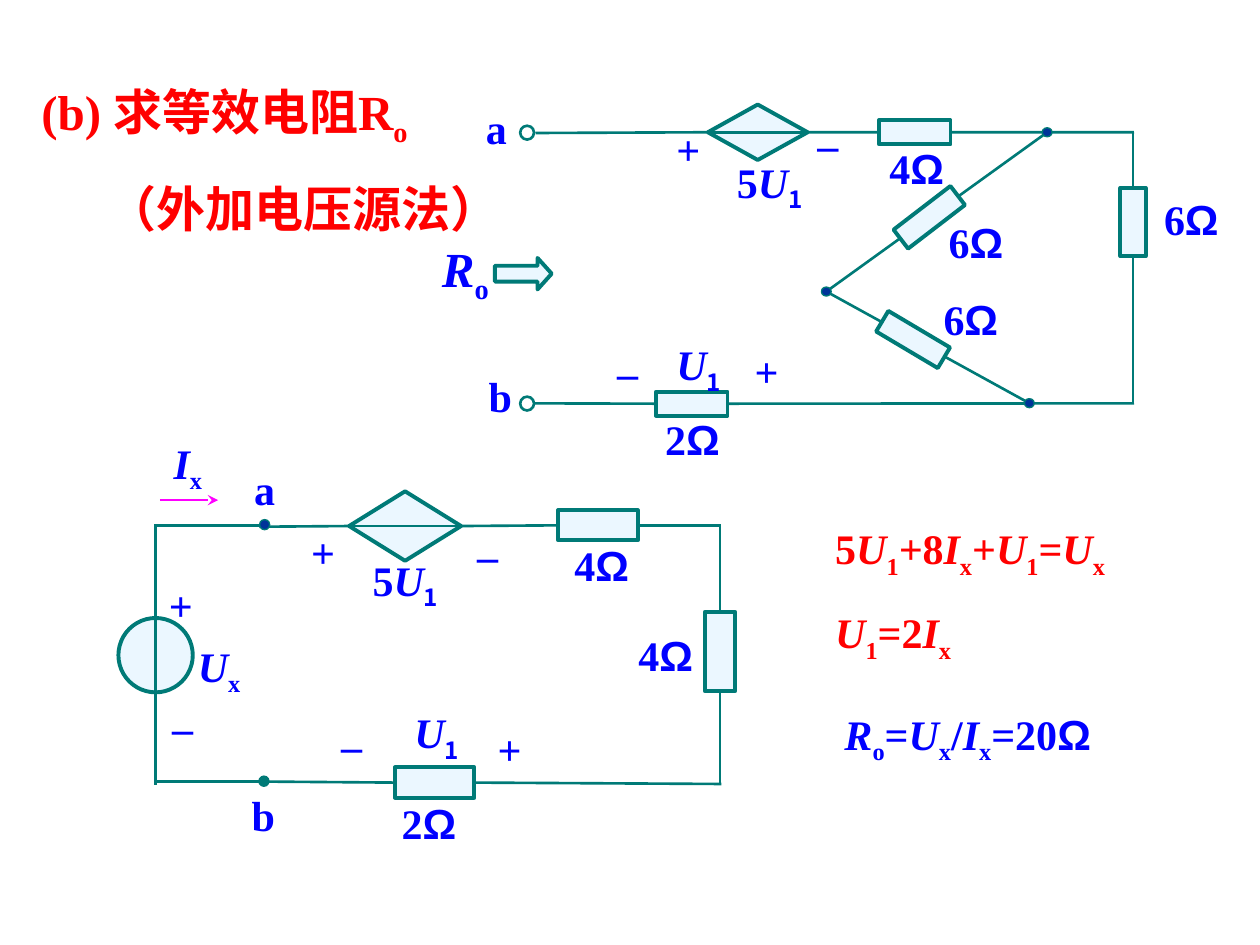
from lxml import etree
from pptx import Presentation
from pptx import util as u
from pptx.dml.color import RGBColor
from pptx.enum import shapes, text
from pptx.oxml.ns import qn

rgb = RGBColor.from_string
Pt = u.Pt
G = shapes.MSO_SHAPE
TEAL, PALE, NAVY, BLUE, RED = "007A77", "EBF7FF", "003399", "0000FF", "FF0000"
LATIN, CJK = "Times New Roman", "Noto Sans CJK SC"

prs = Presentation()
prs.slide_width, prs.slide_height = Pt(720), Pt(540)
s = prs.slides.add_slide(prs.slide_layouts[6])


def shape(kind, cx, cy, w, h, fill=PALE, line=2.25, rot=0):
    """Outlined shape placed by its centre."""
    sp = s.shapes.add_shape(kind, Pt(cx - w / 2), Pt(cy - h / 2), Pt(w), Pt(h))
    sp.shadow.inherit = False
    sp.rotation = rot
    if fill:
        sp.fill.solid()
        sp.fill.fore_color.rgb = rgb(fill)
    else:
        sp.fill.background()
    sp.line.color.rgb = rgb(TEAL)
    sp.line.width = Pt(line)
    return sp


def wire(a, b, color=TEAL):
    """Straight line; each end is a point (x, y) or a join (shape, site)."""
    ends = [e if isinstance(e[0], (int, float)) else None for e in (a, b)]
    (x1, y1), (x2, y2) = [e or (0, 0) for e in ends]
    c = s.shapes.add_connector(shapes.MSO_CONNECTOR.STRAIGHT,
                               Pt(x1), Pt(y1), Pt(x2), Pt(y2))
    if ends[0] is None:
        c.begin_connect(*a)
    if ends[1] is None:
        c.end_connect(*b)
    c.line.color.rgb = rgb(color)
    c.line.width = Pt(1.5)
    etree.SubElement(c._element.spPr, qn("a:effectLst"))
    return c


# Upper circuit: slanted branches lie under their resistors
left, top, bottom = (472.2, 166.6), (598.4, 75.6), (588.2, 230.4)
wire(left, bottom)
wire(top, left)
shape(G.RECTANGLE, 521.8, 194, 13.7, 41, rot=300.7)
shape(G.RECTANGLE, 531, 124.2, 13.7, 41, rot=52.5)

# Upper circuit: parts and wires
src = shape(G.DIAMOND, 433, 75.6, 57, 31.7)
r4 = shape(G.RECTANGLE, 522.7, 75.6, 41, 13.7)
r6 = shape(G.RECTANGLE, 647.5, 127, 14.4, 39)
r2 = shape(G.RECTANGLE, 395.3, 230.7, 41, 13.7)
for a, b in [((306, 76), (src, 1)), ((src, 1), (src, 3)), ((src, 3), (r4, 1)),
             ((r4, 3), (648, 75.6)), ((647.5, 75), (r6, 0)),
             ((r6, 2), (647.5, 230.5)), ((305.3, 230.5), (r2, 1)),
             ((r2, 3), (648, 230.5))]:
    wire(a, b)
for x, y in (left, top, bottom):
    shape(G.OVAL, x, y, 5.6, 5.2, NAVY, 0.75)
for y in (75.8, 230.6):
    shape(G.OVAL, 301.2, y, 7.9, 7.9, None, 1.5)
arrow = shape(G.RIGHT_ARROW, 299, 156.4, 32.5, 18)
arrow.adjustments[0], arrow.adjustments[1] = 0.5, 0.45

# Lower circuit: parts and wires
shape(G.OVAL, 88.9, 374.4, 42.5, 42.5)
src = shape(G.DIAMOND, 231.5, 300.6, 64, 39.7)
r4 = shape(G.RECTANGLE, 341.7, 300.2, 45.4, 17.3)
rv = shape(G.RECTANGLE, 411.5, 372.3, 17.3, 45.4)
r2 = shape(G.RECTANGLE, 248.4, 447.2, 45.4, 17.3)
for a, b in [((148.3, 301), (src, 1)), ((src, 1), (src, 3)), ((src, 3), (r4, 1)),
             ((r4, 3), (412.2, 300.2)), ((411.5, 300.2), (rv, 0)),
             ((rv, 2), (411.5, 448.5)), ((r2, 3), (412.2, 448)),
             ((148.3, 446.6), (r2, 1)), ((153.4, 300.2), (88.9, 300.2)),
             ((149.8, 446.6), (88.9, 446.6)), ((88.9, 299.5), (88.9, 448.5))]:
    wire(a, b)
shape(G.OVAL, 151.2, 299.8, 5.8, 5.8, NAVY, 0.75)
shape(G.OVAL, 150.8, 446.4, 5.8, 5.8, TEAL, 0.75)
current = wire((91.4, 285.8), (124.6, 285.8), "FF00FF")
etree.SubElement(current.line._get_or_add_ln(), qn("a:tailEnd"), type="stealth")

# Text: runs split by "|"; * italic, _ subscript, ~ subscript in the CJK font
MID, TOP = text.MSO_ANCHOR.MIDDLE, text.MSO_ANCHOR.TOP
LEFT, CENTER = text.PP_ALIGN.LEFT, text.PP_ALIGN.CENTER
title = dict(size=28, color=RED, anchor=MID)
big = dict(size=28)
formula = dict(color=RED, anchor=MID, wrap=False)
result = dict(anchor=MID, align=CENTER)
sign = dict(anchor=MID, align=CENTER, wrap=False, inset=0)
label = {}
texts = [
    (16.6, 26, 285, 130.3, ["(b) 求等效电阻R|_o", "（外加电压源法）"], title),
    (470.2, 295.2, 168.5, 87.8,
     ["5|*U|_1|*+|8|*I|_x|+|*U|_1|=|*U|_x", "*U|_1|=2|*I|_x"], formula),
    (452.2, 401, 201.6, 40.3, ["*R|_o|=|*U|_x|/|*I|_x|=20|Ω"], result),
    (245.5, 132.5, 54.7, 45.4, ["*R|_o"], big),
    (105.8, 362.2, 38.9, 40.3, ["*U|_x"], sign),
    (92.2, 246.2, 30.2, 40.3, ["*I|_x"], sign),
]
# Resistances, controlled sources and their control voltage
for t, x, y, w in [("2|Ω", 373, 232.6, 48), ("4|Ω", 501.1, 77.8, 52),
                   ("6|Ω", 535, 120.2, 49), ("6|Ω", 532.1, 164.2, 53),
                   ("6|Ω", 658.1, 107.3, 55), ("5|*U|~1", 414, 85.7, 53),
                   ("*U|~1", 379.4, 190.1, 40), ("2|Ω", 222.5, 452.2, 53),
                   ("4|Ω", 321.1, 304.6, 56), ("4|Ω", 357.8, 356.4, 55),
                   ("5|*U|~1", 205.9, 313.2, 78), ("*U|~1", 229.7, 400.3, 44)]:
    texts.append((x, y, w, 40 if "~" in t else 36, [t], label))
# Terminal names and polarity signs
for t, spots in {
    "a": [(270.7, 54.7), (138.2, 261.4)],
    "b": [(272.2, 208.1), (136.8, 447.8)],
    "+": [(379.4, 67), (424.1, 193.7), (170.6, 297.4), (277.2, 409.7), (89.3, 327.6)],
    "–": [(460.1, 64.1), (345.6, 194.4), (265.7, 298.8), (187.9, 407.5), (91.4, 397.4)],
}.items():
    width = {"a": 26, "b": 27.4, "+": 28, "–": 26}[t]
    texts += [(x, y, width, 36, [t], sign) for x, y in spots]

for x, y, w, h, paras, style in texts:
    f = dict(size=24, color=BLUE, anchor=TOP, align=LEFT, wrap=True, inset=7.2) | style
    tf = s.shapes.add_textbox(Pt(x), Pt(y), Pt(w), Pt(h)).text_frame
    for k, v in dict(word_wrap=f["wrap"], vertical_anchor=f["anchor"],
                     margin_left=Pt(f["inset"]), margin_right=Pt(f["inset"])).items():
        setattr(tf, k, v)
    for i, line in enumerate(paras):
        p = tf.paragraphs[0] if i == 0 else tf.add_paragraph()
        p.alignment = f["align"]
        if i:
            p.space_before = Pt(f["size"] * 0.625)
        if line.startswith("（"):
            p._p.get_or_add_pPr().set("marL", str(Pt(38)))
        for part in line.split("|"):
            mark = part[0] if part[0] in "*_~" else ""
            r = p.add_run()
            r.text = part[len(mark):]
            name = CJK if mark == "~" else "Arial" if part == "Ω" else LATIN
            for k, v in dict(size=Pt(f["size"]), bold=True, name=name,
                             italic=mark == "*").items():
                setattr(r.font, k, v)
            r.font.color.rgb = rgb(f["color"])
            rPr = r._r.get_or_add_rPr()
            etree.SubElement(rPr, qn("a:ea"), typeface=CJK)
            if mark in ("_", "~"):
                rPr.set("baseline", "-25000")

prs.save("out.pptx")
